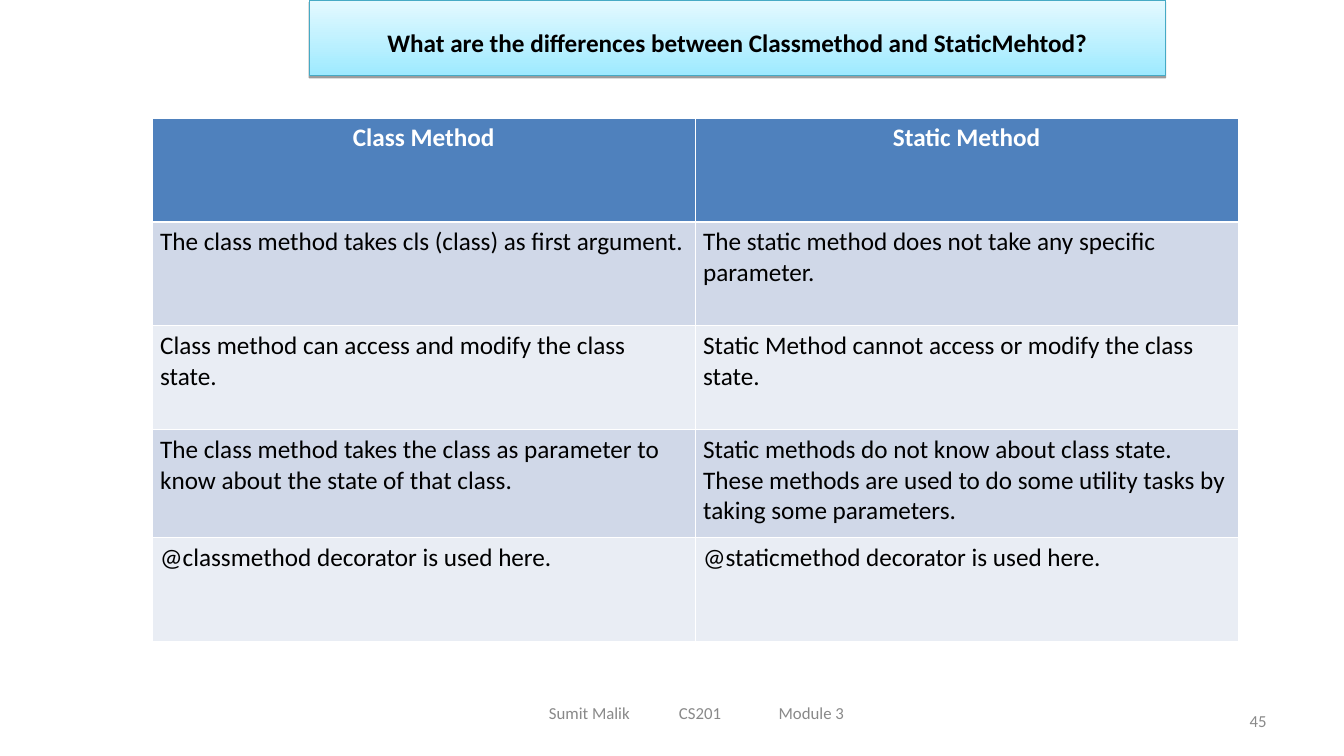
from lxml.etree import SubElement
from pptx import Presentation
from pptx.dml.color import RGBColor
from pptx.enum.shapes import MSO_SHAPE
from pptx.enum.text import MSO_ANCHOR, PP_ALIGN
from pptx.oxml import parse_xml
from pptx.oxml.ns import nsdecls, qn
from pptx.util import Inches, Pt

BLACK = RGBColor(0x00, 0x00, 0x00)
WHITE = RGBColor(0xFF, 0xFF, 0xFF)
GREY = RGBColor(0x89, 0x89, 0x89)
HEADER_BLUE = RGBColor(0x4F, 0x81, 0xBD)
BANDS = (RGBColor(0xE9, 0xED, 0xF4), RGBColor(0xD0, 0xD8, 0xE8))
BANNER_LOW = RGBColor(0x9E, 0xEA, 0xFF)
BANNER_HIGH = RGBColor(0xE4, 0xF9, 0xFF)
BANNER_LINE = RGBColor(0x46, 0xAA, 0xC5)

COLUMNS, ROWS = 133.4, 75
COMPARISON = [
    ("Class Method", "Static Method"),
    ("The class method takes cls (class) as first argument.",
     "The static method does not take any specific parameter."),
    ("Class method can access and modify the class state.",
     "Static Method cannot access or modify the class state."),
    ("The class method takes the class as parameter to know about the state of that class.",
     "Static methods do not know about class state. These methods are used to do "
     "some utility tasks by taking some parameters."),
    ("@classmethod decorator is used here.", "@staticmethod decorator is used here."),
]


class SlideBuilder:
    """Draw styled elements on one slide, placed on a grid of columns and rows."""

    font_name = "Calibri"

    def __init__(self, deck):
        self.column = deck.slide_width / COLUMNS
        self.row = deck.slide_height / ROWS
        self.page = deck.slides.add_slide(deck.slide_layouts[6])

    def place(self, left, top, width, height):
        return (round(left * self.column), round(top * self.row),
                round(width * self.column), round(height * self.row))

    def add_text(self, frame, text, size, color, bold=False, align=PP_ALIGN.LEFT, tabs=()):
        frame.word_wrap = True
        para = frame.paragraphs[0]
        para.alignment = align
        if tabs:
            tab_list = SubElement(para._p.get_or_add_pPr(), qn("a:tabLst"))
            for position in tabs:
                SubElement(tab_list, qn("a:tab"), pos=str(round(position * self.column)), algn="l")
        span = para.add_run()
        span.text = text
        span.font.name = self.font_name
        span.font.size = Pt(size)
        span.font.bold = bold
        span.font.color.rgb = color

    def banner(self, area, text):
        box = self.page.shapes.add_shape(MSO_SHAPE.RECTANGLE, *self.place(*area))
        box.fill.gradient()
        box.fill.gradient_angle = 90
        for stop, color in zip(box.fill.gradient_stops, (BANNER_LOW, BANNER_HIGH)):
            stop.color.rgb = color
        box.line.color.rgb = BANNER_LINE
        box.line.width = Pt(0.75)
        box.shadow.inherit = False
        effects = box._element.spPr.find(qn("a:effectLst"))
        effects.append(parse_xml(
            f'<a:outerShdw {nsdecls("a")} blurRad="0" dist="{Pt(1.6)}" dir="5400000" rotWithShape="0">'
            f'<a:srgbClr val="{BLACK}"><a:alpha val="38000"/></a:srgbClr></a:outerShdw>'))
        box.text_frame.vertical_anchor = MSO_ANCHOR.MIDDLE
        box.text_frame.margin_top = Inches(0.15)
        self.add_text(box.text_frame, text, 18, BLACK, True, PP_ALIGN.CENTER)

    def label(self, area, text, align=PP_ALIGN.LEFT, tabs=()):
        box = self.page.shapes.add_textbox(*self.place(*area))
        box.text_frame.vertical_anchor = MSO_ANCHOR.MIDDLE
        self.add_text(box.text_frame, text, 12, GREY, align=align, tabs=tabs)

    def border(self, cell, widths):
        properties = cell._tc.get_or_add_tcPr()
        for index, (side, width) in enumerate(zip("LRTB", widths)):
            properties.insert(index, parse_xml(
                f'<a:ln{side} {nsdecls("a")} w="{Pt(width)}"><a:solidFill>'
                f'<a:srgbClr val="{WHITE}"/></a:solidFill></a:ln{side}>'))

    def table(self, area, heights, rows):
        table = self.page.shapes.add_table(len(rows), len(rows[0]), *self.place(*area)).table
        table.horz_banding = False
        for number, (height, texts) in enumerate(zip(heights, rows)):
            header = number == 0
            table.rows[number].height = round(height * self.row)
            above = 1.47 if number == 1 else 0.45
            below = 1.47 if header else 0.45
            for cell, text in zip(table.rows[number].cells, texts):
                cell.margin_left = cell.margin_right = Inches(0.08)
                cell.fill.solid()
                cell.fill.fore_color.rgb = HEADER_BLUE if header else BANDS[number % 2]
                self.border(cell, (0.45, 0.45, above, below))
                self.add_text(cell.text_frame, text, 18, WHITE if header else BLACK, header,
                              PP_ALIGN.CENTER if header else PP_ALIGN.LEFT)


def main():
    deck = Presentation()
    deck.slide_width, deck.slide_height = Inches(13.34), Inches(7.5)
    builder = SlideBuilder(deck)
    builder.table((15.1, 11.7, 107.8, 51.9), (10.3, 10.3, 10.3, 10.7, 10.3), COMPARISON)
    builder.label((95.6, 69.5, 31.1, 4), "45", PP_ALIGN.RIGHT)
    builder.banner((30.7, 0, 85, 7.5),
                   "What are the differences between Classmethod and StaticMehtod?")
    builder.label((53.5, 68.7, 43.2, 4), "Sumit Malik\tCS201\tModule 3", tabs=(12.9, 22.8))
    deck.save("out.pptx")


if __name__ == "__main__":
    main()
